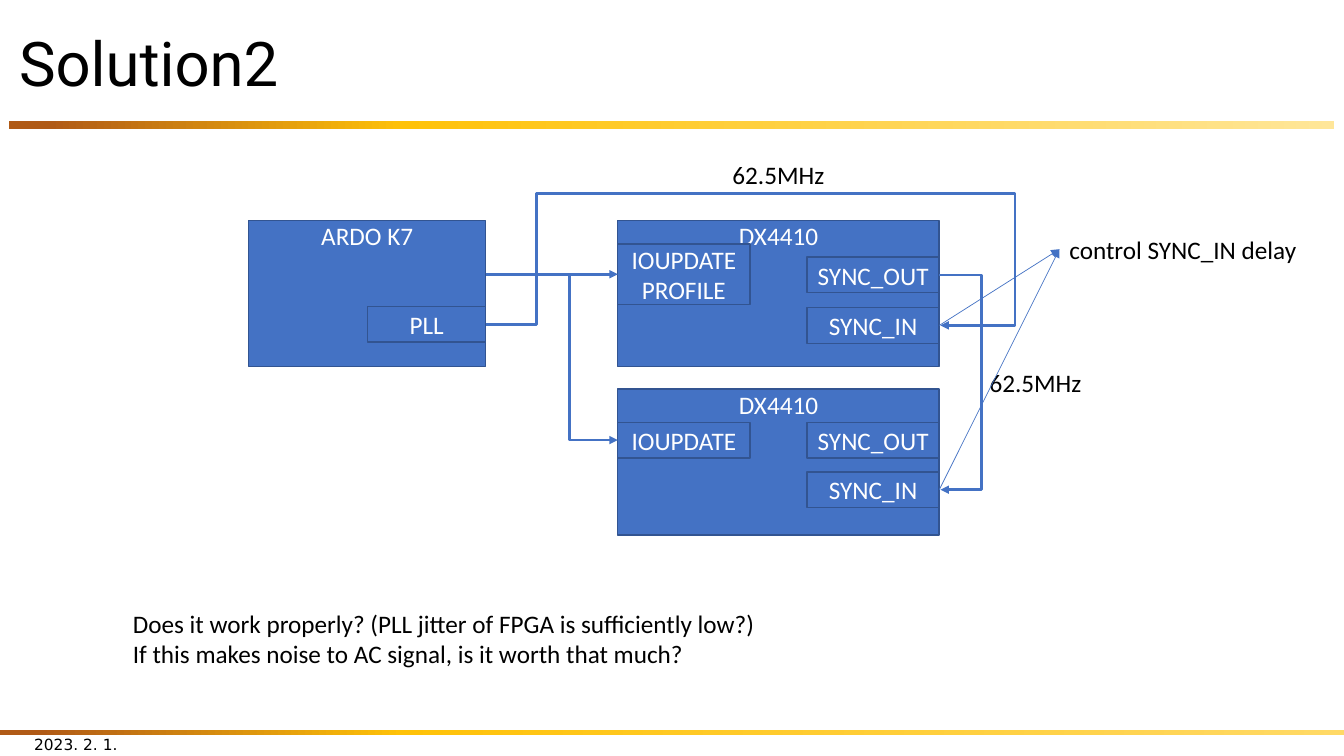
from copy import deepcopy
from pptx import Presentation
from pptx.dml.color import RGBColor
from pptx.enum.shapes import MSO_CONNECTOR, MSO_SHAPE
from pptx.enum.text import MSO_ANCHOR, PP_ALIGN
from pptx.oxml.ns import qn
from pptx.util import Cm, Pt
from lxml import etree

RECT = MSO_SHAPE.RECTANGLE
STRAIGHT, ELBOW = MSO_CONNECTOR.STRAIGHT, MSO_CONNECTOR.ELBOW
TOP, MIDDLE = MSO_ANCHOR.TOP, MSO_ANCHOR.MIDDLE
LEFT, CENTER = PP_ALIGN.LEFT, PP_ALIGN.CENTER

BLUE = RGBColor(0x44, 0x72, 0xC4)
EDGE = RGBColor(0x32, 0x54, 0x91)
BLACK = RGBColor(0, 0, 0)
WHITE = RGBColor(0xFF, 0xFF, 0xFF)
BROWN = RGBColor(0xB0, 0x5A, 0x16)
GOLD = RGBColor(0xFF, 0xC2, 0x08)
PALE = RGBColor(0xFF, 0xE6, 0x99)
SAND = RGBColor(0xFF, 0xD9, 0x66)

# All lengths are in centimetres: left, top, width, height
BARS = [
    ((0.23, 3.05, 33.4, 0.2), PALE),
    ((0, 18.39, 33.87, 0.13), SAND),
]
BODY = {"size": Pt(18), "name": "Calibri"}
TITLE = {"size": Pt(44), "name": "Roboto"}
DATE = {"size": Pt(11), "name": "DejaVu Sans"}

# key: (text, place, anchor)
BOXES = {
    "board": ("ARDO K7", (6.27, 5.56, 5.97, 3.68), TOP),
    "dds1": ("DX4410", (15.57, 5.56, 8.1, 3.68), TOP),
    "dds2": ("DX4410", (15.57, 9.8, 8.1, 3.68), TOP),
    "pll": ("PLL", (9.27, 7.72, 2.97, 0.9), MIDDLE),
    "io1": ("IOUPDATE\nPROFILE", (15.57, 6.15, 3.33, 1.52), MIDDLE),
    "io2": ("IOUPDATE", (15.57, 10.64, 3.33, 0.9), MIDDLE),
    "out1": ("SYNC_OUT", (20.34, 6.48, 3.33, 0.9), MIDDLE),
    "out2": ("SYNC_OUT", (20.34, 10.64, 3.33, 0.9), MIDDLE),
    "in1": ("SYNC_IN", (20.34, 7.75, 3.33, 0.9), MIDDLE),
    "in2": ("SYNC_IN", (20.34, 11.89, 3.33, 0.9), MIDDLE),
}
# key: (text, place, font, anchor, wrap)
TEXTS = {
    "title": ("Solution2", (0.23, 0.43, 33.4, 2.49), TITLE, MIDDLE, True),
    "date": ("2023. 2. 1.", (0.61, 18.26, 7.62, 1.02), DATE, MIDDLE, True),
    "clock1": ("62.5MHz", (18.21, 3.89, 2.84, 1.02), BODY, TOP, False),
    "clock2": ("62.5MHz", (24.69, 9.12, 2.84, 1.02), BODY, TOP, False),
    "notes": ("Does it work properly? (PLL jitter of FPGA is sufficiently low?)\n"
              "If this makes noise to AC signal, is it worth that much?",
              (3.1, 15.21, 27.66, 1.8), BODY, TOP, True),
    "delay": ("control SYNC_IN delay", (26.7, 5.77, 6.3, 1.02), BODY, TOP, False),
}
# start, end, preset, bends (an axis and a position for each adjustable leg)
BENDS = [
    ((12.24, 6.91), (15.57, 11.09), "bentConnector3", [("x", 14.36)]),
    ((23.67, 6.93), (23.7, 12.34), "bentConnector3", [("x", 24.74)]),
    ((12.24, 8.17), (23.7, 8.2), "bentConnector5",
     [("x", 13.52), ("y", 4.88), ("x", 25.58)]),
]


def write(shape, text, font, color, align, anchor, wrap=True):
    frame = shape.text_frame
    frame.text = text
    frame.word_wrap = wrap
    frame.vertical_anchor = anchor
    for para in frame.paragraphs:
        para.alignment = align
        para.font.color.rgb = color
        for key, value in font.items():
            setattr(para.font, key, value)
    return frame


def add_bar(place, last):
    bar = shapes.add_shape(RECT, *map(Cm, place))
    bar.shadow.inherit = False
    bar.line.fill.background()
    bar.fill.gradient()
    bar.fill.gradient_angle = 0
    stops = bar._element.spPr.find(qn("a:gradFill")).find(qn("a:gsLst"))
    stops.append(deepcopy(stops[0]))
    tints = [(0.03, BROWN), (0.3, GOLD), (1, last)]
    for stop, (pos, color) in zip(bar.fill.gradient_stops, tints):
        stop.position = pos
        stop.color.rgb = color


def add_box(text, place, anchor):
    box = shapes.add_shape(RECT, *map(Cm, place))
    box.shadow.inherit = False
    box.fill.solid()
    box.fill.fore_color.rgb = BLUE
    box.line.color.rgb = EDGE
    box.line.width = Pt(1)
    frame = write(box, text, BODY, WHITE, CENTER, anchor)
    frame.margin_top = frame.margin_bottom = 0
    frame.margin_left = frame.margin_right = Cm(0.1)
    return box


def add_text(text, place, font, anchor, wrap):
    box = shapes.add_textbox(*map(Cm, place))
    write(box, text, font, BLACK, LEFT, anchor, wrap)
    return box


def add_arrow(kind, start, end, width):
    arrow = shapes.add_connector(kind, *map(Cm, start + end))
    arrow.line.color.rgb = BLUE
    arrow.line.width = Pt(width)
    etree.SubElement(arrow.line._get_or_add_ln(), qn("a:tailEnd"), type="triangle")
    etree.SubElement(arrow._element.spPr, qn("a:effectLst"))
    return arrow


def add_bend(start, end, preset, legs):
    """Elbow arrow whose legs lie at the given positions."""
    arrow = add_arrow(ELBOW, start, end, 2)
    geom = arrow._element.spPr.find(qn("a:prstGeom"))
    geom.set("prst", preset)
    guides = geom.find(qn("a:avLst"))
    for num, (axis, pos) in enumerate(legs, 1):
        i = "xy".index(axis)
        part = round((pos - start[i]) / (end[i] - start[i]) * 100000)
        etree.SubElement(guides, qn("a:gd"), name=f"adj{num}", fmla=f"val {part}")


deck = Presentation()
deck.slide_width, deck.slide_height = Cm(33.87), Cm(19.05)
shapes = deck.slides.add_slide(deck.slide_layouts[6]).shapes

for bar in BARS:
    add_bar(*bar)
boxes = {key: add_box(*box) for key, box in BOXES.items()}
texts = {key: add_text(*text) for key, text in TEXTS.items()}
texts["title"].text_frame.paragraphs[0].line_spacing = 0.9

for bend in BENDS:
    add_bend(*bend)
update = add_arrow(STRAIGHT, (12.24, 6.91), (15.57, 6.91), 2)
update.end_connect(boxes["io1"], 1)
for key in ("in1", "in2"):
    hint = add_arrow(STRAIGHT, (23.67, 8.2), (26.7, 6.28), 0.5)
    hint.begin_connect(boxes[key], 3)
    hint.end_connect(texts["delay"], 1)

deck.save("out.pptx")
